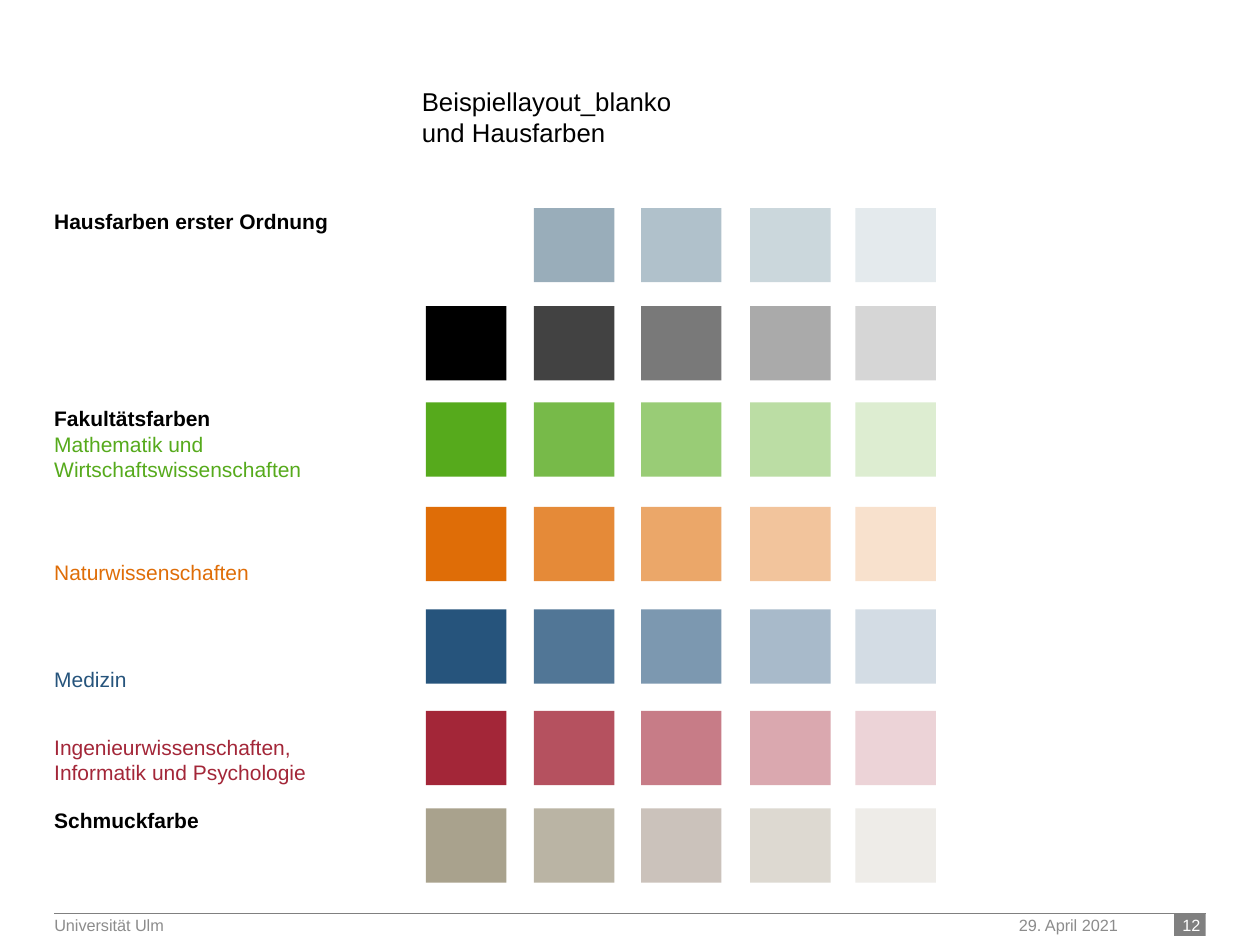
from dataclasses import dataclass

from lxml.etree import SubElement
from pptx import Presentation
from pptx.dml.color import RGBColor
from pptx.enum.shapes import MSO_CONNECTOR, MSO_SHAPE
from pptx.enum.text import MSO_ANCHOR, MSO_AUTO_SIZE, PP_ALIGN
from pptx.oxml.ns import qn
from pptx.util import Pt


@dataclass(frozen=True)
class Theme:
    font: str = "Arial"
    title_size: float = 14.7
    label_size: float = 12
    footer_size: float = 9.3
    leading: float = 1.2
    black: str = "000000"
    white: str = "FFFFFF"
    rule: str = "808080"
    footer: str = "8C8C8C"
    green: str = "56AA1C"
    orange: str = "DF6D07"
    blue: str = "26547C"
    red: str = "A32638"
    sand: str = "A9A28D"


THEME = Theme()

LEFT = 31
RIGHT = 689
FOOTER_TOP = 522
SWATCH_WIDTH, SWATCH_HEIGHT = 46, 42.4
COLUMNS = (243.4, 305.1, 366.3, 428.6, 488.8)

PALETTE = (
    (118.9, (None, "99ADBA", "B0C1CB", "CBD7DC", "E4EAED")),
    (175, (THEME.black, "424242", "797979", "AAAAAA", "D6D6D6")),
    (230, (THEME.green, "77BA49", "99CC76", "BBDDA4", "DDEDD1")),
    (289.7, (THEME.orange, "E58A38", "EBA769", "F2C49C", "F8E1CD")),
    (348.3, (THEME.blue, "517696", "7C98B0", "A8BACA", "D3DCE4")),
    (406.3, (THEME.red, "B5515F", "C77C87", "DAA8AF", "ECD3D7")),
    (462, (THEME.sand, "BAB4A4", "CBC2BB", "DDD9D1", "EEECE8")),
)

LABELS = (
    (118.9, "Hausfarben erster Ordnung", THEME.black, True),
    (232, "Fakultätsfarben", THEME.black, True),
    (246.4, "Mathematik und Wirtschaftswissenschaften", THEME.green, False),
    (319.5, "Naturwissenschaften", THEME.orange, False),
    (380.8, "Medizin", THEME.blue, False),
    (419.6, "Ingenieurwissenschaften, Informatik und Psychologie", THEME.red, False),
    (461.3, "Schmuckfarbe", THEME.black, True),
)


def write_lines(frame, lines, size, color, bold=False, align=PP_ALIGN.LEFT):
    frame.margin_left = frame.margin_right = 0
    frame.margin_top = frame.margin_bottom = 0
    frame.word_wrap = True
    frame.auto_size = MSO_AUTO_SIZE.NONE
    frame.vertical_anchor = MSO_ANCHOR.TOP
    for index, line in enumerate(lines):
        paragraph = frame.add_paragraph() if index else frame.paragraphs[0]
        paragraph.alignment = align
        paragraph.space_before = Pt(0)
        paragraph.line_spacing = Pt(size * THEME.leading)
        run = paragraph.add_run()
        run.text = line
        run.font.name = THEME.font
        run.font.size = Pt(size)
        run.font.bold = bold
        run.font.color.rgb = RGBColor.from_string(color)


def add_text(slide, left, top, width, height, text, size, color, **style):
    box = slide.shapes.add_textbox(Pt(left), Pt(top), Pt(width), Pt(height))
    write_lines(box.text_frame, [text], size, color, **style)


def add_block(slide, left, top, width, height, color):
    block = slide.shapes.add_shape(
        MSO_SHAPE.RECTANGLE, Pt(left), Pt(top), Pt(width), Pt(height))
    block.shadow.inherit = False
    block.fill.solid()
    block.fill.fore_color.rgb = RGBColor.from_string(color)
    block.line.fill.background()


def add_title(slide):
    title = slide.shapes.title
    title.left, title.top = Pt(241), Pt(49)
    title.width, title.height = Pt(425.5), Pt(35.3)
    write_lines(title.text_frame, ["Beispiellayout_blanko", "und Hausfarben"],
                THEME.title_size, THEME.black)


def add_palette(slide):
    for top, shades in PALETTE:
        for left, shade in zip(COLUMNS, shades):
            if shade:
                add_block(slide, left, top, SWATCH_WIDTH, SWATCH_HEIGHT, shade)


def add_labels(slide):
    for top, text, color, bold in LABELS:
        add_text(slide, LEFT, top, 183, 14.4, text, THEME.label_size, color, bold=bold)


def add_footer(slide):
    add_block(slide, 671, FOOTER_TOP, 18, 12.8, THEME.rule)
    rule = slide.shapes.add_connector(
        MSO_CONNECTOR.STRAIGHT, Pt(LEFT), Pt(FOOTER_TOP), Pt(RIGHT), Pt(FOOTER_TOP))
    rule.line.color.rgb = RGBColor.from_string(THEME.rule)
    rule.line.width = Pt(0.25)
    SubElement(rule.element.spPr, qn("a:effectLst"))
    for left, width, text, color, align in (
        (LEFT, 467, "Universität Ulm", THEME.footer, PP_ALIGN.LEFT),
        (582.3, 78, "29. April 2021", THEME.footer, PP_ALIGN.LEFT),
        (660, 26, "12", THEME.white, PP_ALIGN.RIGHT),
    ):
        add_text(slide, left, FOOTER_TOP + 1, width, 17, text,
                 THEME.footer_size, color, align=align)


def main():
    presentation = Presentation()
    presentation.slide_width, presentation.slide_height = Pt(720), Pt(540)
    slide = presentation.slides.add_slide(presentation.slide_layouts[5])
    add_footer(slide)
    add_palette(slide)
    add_labels(slide)
    add_title(slide)
    presentation.save("out.pptx")


if __name__ == "__main__":
    main()
